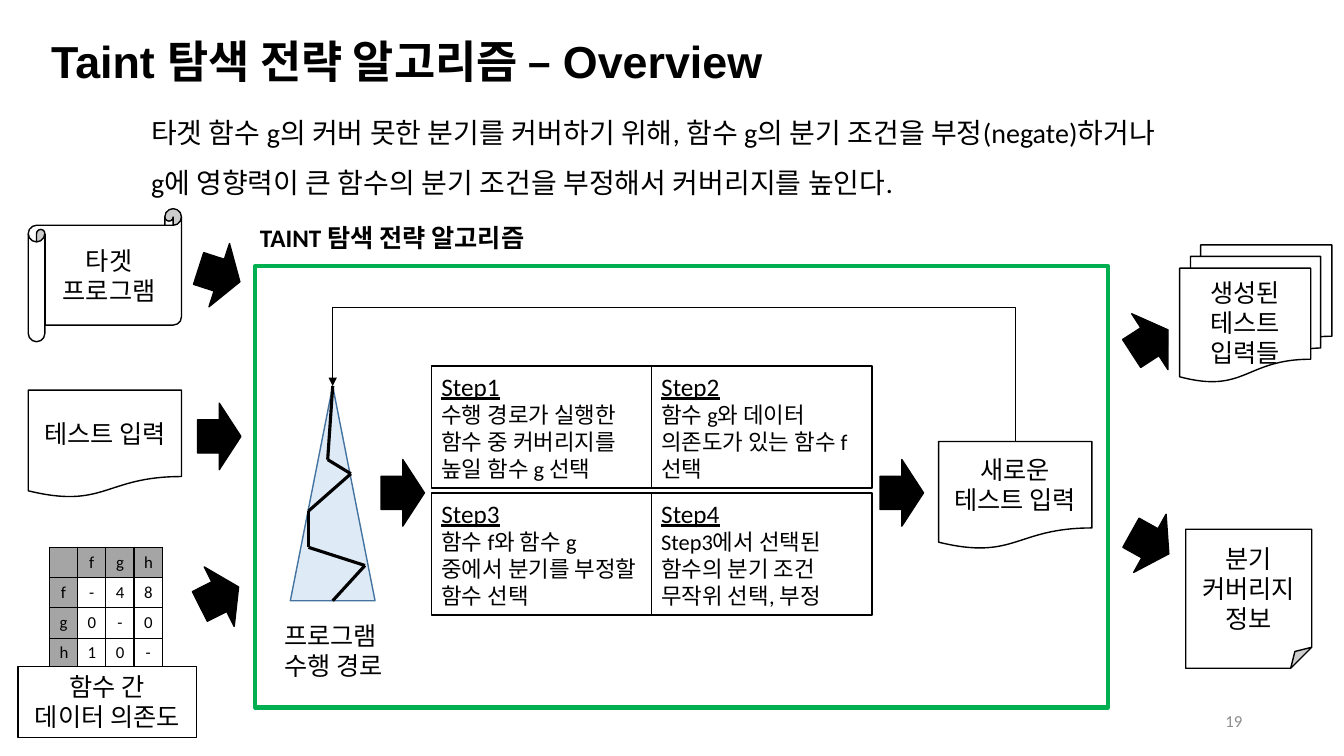
"""Build the overview slide of the taint search strategy algorithm."""
from dataclasses import dataclass
from itertools import pairwise
from typing import Any

from lxml import etree
from pptx import Presentation
from pptx.dml.color import RGBColor
from pptx.enum.shapes import MSO_CONNECTOR, MSO_SHAPE
from pptx.enum.text import MSO_ANCHOR, PP_ALIGN
from pptx.oxml.ns import qn
from pptx.util import Inches, Pt

RECTANGLE = MSO_SHAPE.RECTANGLE
TRIANGLE = MSO_SHAPE.ISOSCELES_TRIANGLE
ARROW = MSO_SHAPE.RIGHT_ARROW
SCROLL = MSO_SHAPE.HORIZONTAL_SCROLL
DOCUMENT = MSO_SHAPE.FLOWCHART_DOCUMENT
DOCUMENTS = MSO_SHAPE.FLOWCHART_MULTIDOCUMENT
NOTE = MSO_SHAPE.FOLDED_CORNER
STRAIGHT, ELBOW = MSO_CONNECTOR.STRAIGHT, MSO_CONNECTOR.ELBOW
TOP, MIDDLE = MSO_ANCHOR.TOP, MSO_ANCHOR.MIDDLE
LEFT, CENTER, RIGHT = PP_ALIGN.LEFT, PP_ALIGN.CENTER, PP_ALIGN.RIGHT
BLACK, WHITE, GREEN, GRAY = "000000", "FFFFFF", "00B050", "A5A5A5"
BODY = {"name": "Calibri", "size": Pt(18)}
HEADING = BODY | {"underline": True}
DETAIL = BODY | {"size": Pt(16)}
SMALL = BODY | {"size": Pt(12)}


@dataclass
class Line:
    """One paragraph with its format values."""
    text: str
    font: dict[str, Any]
    color: str = BLACK
    spacing: float = 1.0


@dataclass
class Box:
    """A shape, or a plain text box when it has no kind."""
    kind: Any
    at: tuple[float, float, float, float]
    lines: tuple[Line, ...] = ()
    align: Any = CENTER
    anchor: Any = MIDDLE
    fill: str | None = WHITE
    outline: str = BLACK
    weight: float = 1
    rotation: float = 0


def rgb(value: str) -> RGBColor:
    """Turn a hex string into a colour."""
    return RGBColor.from_string(value)


def write(frame: Any, lines: tuple[Line, ...], align: Any) -> None:
    """Fill a text frame with paragraphs."""
    for index, line in enumerate(lines):
        paragraph = frame.add_paragraph() if index else frame.paragraphs[0]
        paragraph.text = line.text
        paragraph.alignment = align
        paragraph.line_spacing = line.spacing
        for run in paragraph.runs:
            for name, value in line.font.items():
                setattr(run.font, name, value)
            run.font.color.rgb = rgb(line.color)


def draw_box(slide: Any, box: Box) -> None:
    """Draw one shape or text box."""
    place = [Inches(value) for value in box.at]
    if box.kind is None:
        shape = slide.shapes.add_textbox(*place)
    else:
        shape = slide.shapes.add_shape(box.kind, *place)
        shape.shadow.inherit = False
        shape.rotation = box.rotation
        shape.line.color.rgb = rgb(box.outline)
        shape.line.width = Pt(box.weight)
        if box.fill:
            shape.fill.solid()
            shape.fill.fore_color.rgb = rgb(box.fill)
        else:
            shape.fill.background()
    shape.text_frame.word_wrap = True
    shape.text_frame.vertical_anchor = box.anchor
    write(shape.text_frame, box.lines, box.align)


def draw_connector(slide: Any, kind: Any, start: tuple[float, float],
                   end: tuple[float, float], weight: float) -> Any:
    """Draw a black connector without a shadow."""
    connector = slide.shapes.add_connector(kind, *(Inches(value) for value in start + end))
    connector.line.color.rgb = rgb(BLACK)
    connector.line.width = Pt(weight)
    etree.SubElement(connector._element.spPr, qn("a:effectLst"))
    return connector


def draw_feedback(slide: Any) -> None:
    """Draw the bent arrow from the new test input back to the path tree."""
    connector = draw_connector(slide, ELBOW, (6.41, 7.49), (6.96, 0.72), 0.5)
    properties = connector._element.spPr
    properties.find(qn("a:xfrm")).set("rot", "16200000")
    adjustments = properties.find(qn("a:prstGeom")).get_or_add_avLst()
    etree.SubElement(adjustments, qn("a:gd"), name="adj1", fmla="val 242700")
    etree.SubElement(properties.find(qn("a:ln")), qn("a:tailEnd"), type="triangle")


def draw_dependencies(slide: Any) -> None:
    """Draw the table of data dependencies between functions."""
    rows = (" fgh", "f-48", "g0-0", "h10-")
    size = len(rows)
    table = slide.shapes.add_table(size, size, Inches(0.49), Inches(5.43),
                                   Inches(1.12), Inches(1.2)).table
    for row_index, row in enumerate(rows):
        for column_index, value in enumerate(row):
            cell = table.cell(row_index, column_index)
            cell.margin_top = cell.margin_bottom = 0
            cell.vertical_anchor = MIDDLE
            write(cell.text_frame, (Line(value.strip(), SMALL),), CENTER)
            properties = cell._tc.get_or_add_tcPr()
            for side in ("lnL", "lnR", "lnT", "lnB"):
                border = etree.SubElement(properties, qn(f"a:{side}"), w=str(Pt(1)))
                fill = etree.SubElement(border, qn("a:solidFill"))
                etree.SubElement(fill, qn("a:srgbClr"), val=BLACK)
            cell.fill.solid()
            is_header = row_index == 0 or column_index == 0
            cell.fill.fore_color.rgb = rgb(GRAY if is_header else WHITE)


def main() -> None:
    """Build and save the slide."""
    presentation = Presentation()
    presentation.slide_width, presentation.slide_height = Inches(13.33), Inches(7.5)
    slide = presentation.slides.add_slide(presentation.slide_layouts[6])

    title = Line("Taint 탐색 전략 알고리즘 – Overview",
                 {"name": "Arial", "size": Pt(32), "bold": True})
    summary = Line("타겟 함수 g의 커버 못한 분기를 커버하기 위해, 함수 g의 분기 조건을 부정(negate)하거나 \v"
                   "g에 영향력이 큰 함수의 분기 조건을 부정해서 커버리지를 높인다.",
                   BODY | {"size": Pt(20)}, spacing=1.5)
    steps = ("수행 경로가 실행한 함수 중 커버리지를 높일 함수 g 선택",
             "함수 g와 데이터 의존도가 있는 함수 f 선택",
             "함수 f와 함수 g 중에서 분기를 부정할 함수 선택",
             "Step3에서 선택된 함수의 분기 조건 무작위 선택, 부정")
    arrows = ((1.96, 2.4, 17.9), (1.96, 4, 0), (1.96, 5.59, 333.3), (3.78, 4.56, 0),
              (8.73, 4.56, 0), (11.19, 3.06, 327), (11.19, 5.06, 29.1))
    artifacts = ((SCROLL, (0.28, 2.07, 1.52, 1.32), "타겟 프로그램"),
                 (DOCUMENT, (0.28, 3.87, 1.52, 1.07), "테스트 입력"),
                 (DOCUMENT, (9.31, 4.38, 1.52, 1.07), "새로운 테스트 입력"),
                 (DOCUMENTS, (11.7, 2.43, 1.51, 1.36), "생성된 테스트 입력들"),
                 (NOTE, (11.76, 5.25, 1.25, 1.38), "분기 커버리지 정보"))
    path_points = ((3.3, 3.83), (3.25, 4.56), (3.48, 4.7), (3.06, 5.07),
                   (3.06, 5.43), (3.62, 5.61), (3.3, 5.96))

    boxes = [Box(None, (0.41, 0.38, 12.92, 0.45), (title,), LEFT),
             Box(None, (1.4, 0.93, 10.94, 1.06), (summary,), LEFT, TOP),
             Box(RECTANGLE, (2.53, 2.64, 8.46, 4.38), fill=None, outline=GREEN, weight=3),
             Box(None, (2.48, 2.16, 3.01, 0.4),
                 (Line("TAINT 탐색 전략 알고리즘", BODY | {"bold": True}),), LEFT, TOP),
             Box(TRIANGLE, (2.88, 3.83, 0.84, 2.13), fill="DEEBF7", outline="43739E"),
             Box(None, (2.72, 6.1, 1.27, 0.71),
                 (Line("프로그램", BODY), Line("수행 경로", BODY)), LEFT, TOP),
             Box(None, (9.42, 6.95, 3, 0.4), (Line("19", SMALL, "8C8C8C"),), RIGHT)]
    boxes += [Box(ARROW, (left, top, 0.43, 0.66), fill=BLACK, rotation=rotation)
              for left, top, rotation in arrows]
    boxes += [Box(kind, at, (Line(text, BODY),)) for kind, at, text in artifacts]
    for index, text in enumerate(steps):
        row, column = divmod(index, 2)
        boxes.append(Box(RECTANGLE, (4.28 + 2.18 * column, 3.63 + 1.26 * row, 2.19, 1.21),
                         (Line(f"Step{index + 1}", HEADING), Line(text, DETAIL)), LEFT, TOP))
    for box in boxes:
        draw_box(slide, box)

    for start, end in pairwise(path_points):
        draw_connector(slide, STRAIGHT, start, end, 2.25)
    draw_feedback(slide)
    draw_dependencies(slide)
    draw_box(slide, Box(RECTANGLE, (0.18, 6.61, 1.77, 0.71),
                        (Line("함수 간", BODY), Line("데이터 의존도", BODY)), anchor=TOP))
    presentation.save("out.pptx")


if __name__ == "__main__":
    main()
